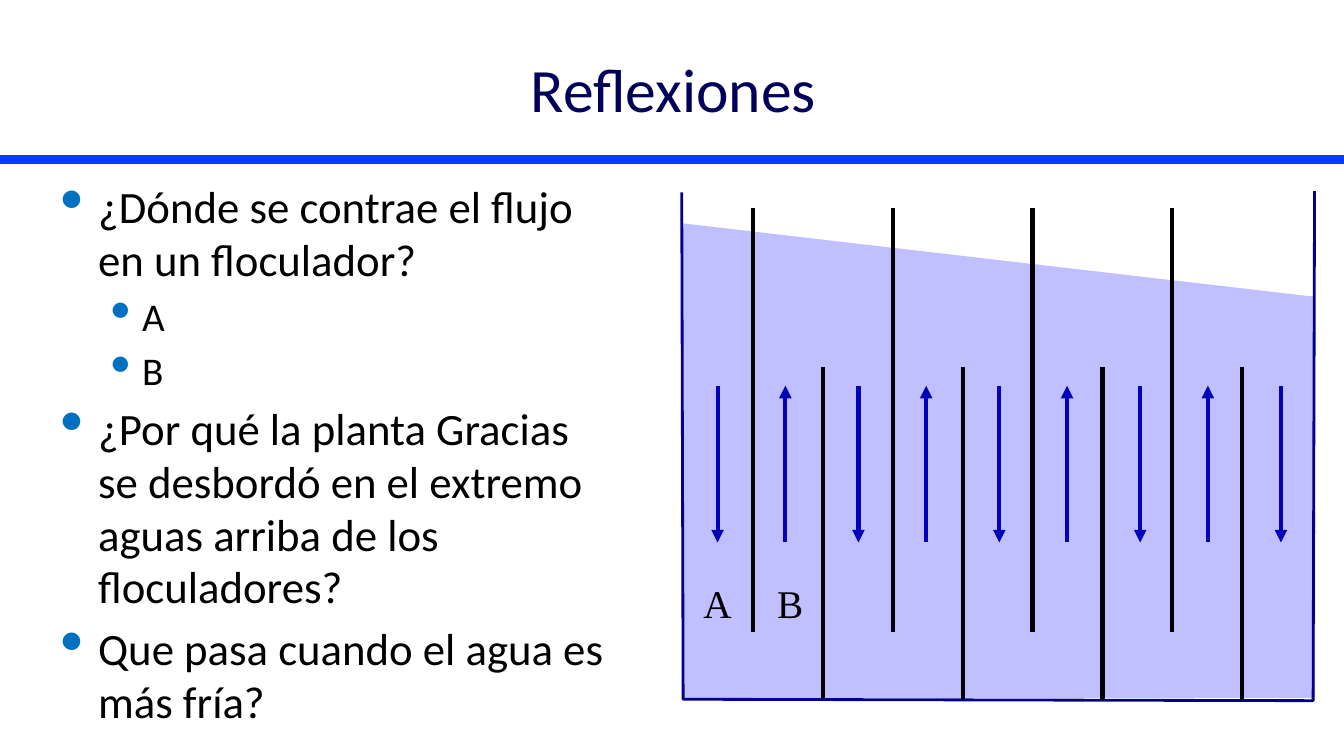
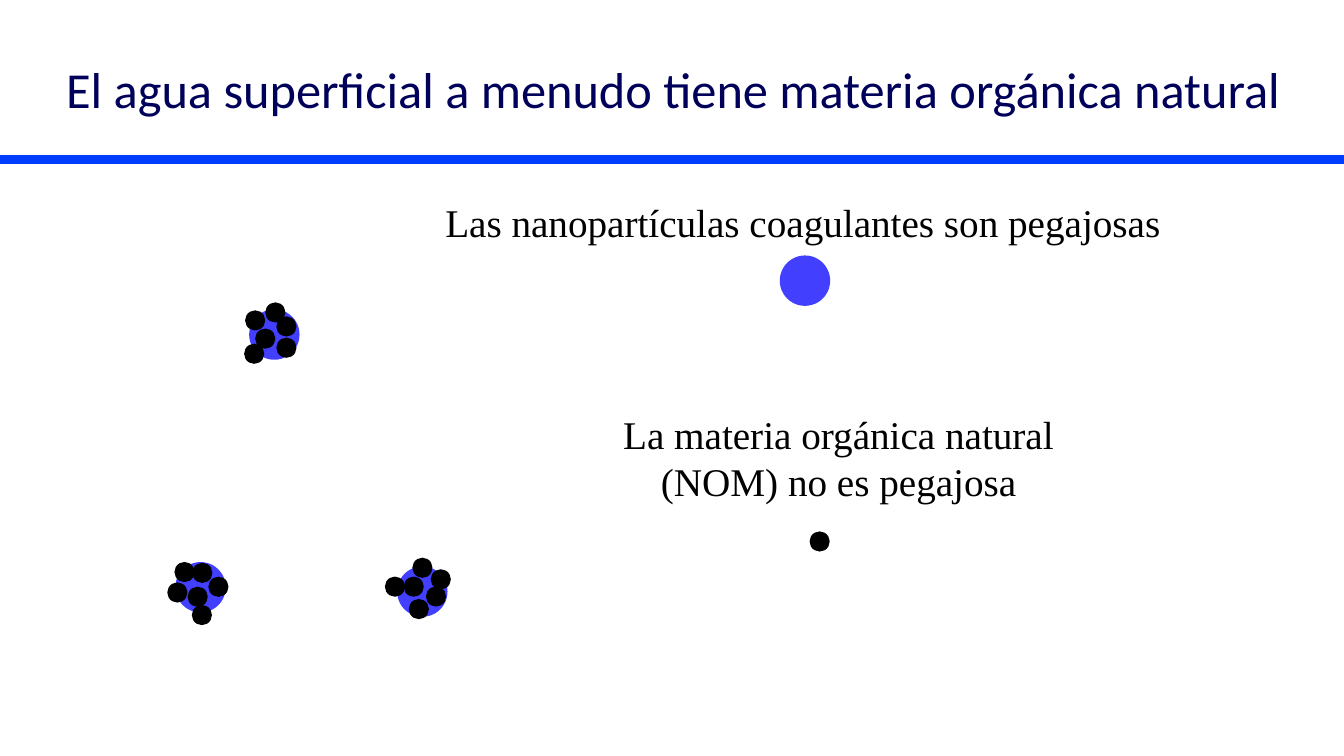
from dataclasses import dataclass
from math import cos, radians, sin

from lxml import etree
from pptx import Presentation
from pptx.dml.color import RGBColor
from pptx.enum.shapes import MSO_CONNECTOR, MSO_SHAPE
from pptx.enum.text import MSO_ANCHOR, PP_ALIGN
from pptx.oxml.ns import qn
from pptx.util import Pt

LEFT, CENTER = PP_ALIGN.LEFT, PP_ALIGN.CENTER
TOP, MIDDLE = MSO_ANCHOR.TOP, MSO_ANCHOR.MIDDLE
STRAIGHT = MSO_CONNECTOR.STRAIGHT
OVAL, RECT = MSO_SHAPE.OVAL, MSO_SHAPE.RECTANGLE
WEDGE = MSO_SHAPE.RIGHT_TRIANGLE


@dataclass(frozen=True)
class Theme:
    title: str = "00005A"
    band: str = "003CFE"
    text: str = "000000"
    bullet: str = "0070C0"
    water: str = "C0BFFF"
    tank: str = "02008D"
    flow: str = "0300BA"
    coagulant: str = "423FFF"
    organic: str = "000000"
    sans: str = "Calibri"
    serif: str = "Times New Roman"
    title_size: int = 44
    long_title_size: int = 36
    label_size: int = 28
    level_sizes: tuple = (32, 28)


T = Theme()
WIDTH, HEIGHT = 960, 540
COAGULANT_SIZE, ORGANIC_SIZE = 36, 14.4
LEVEL_INDENTS = ((27, -27), (58.5, -22.5))
ORGANIC_OFFSETS = (
    (-13.7, -10.1), (-14.4, 13.7), (0.7, -15.8),
    (-6.5, 2.9), (8.6, 9.4), (8.6, -5.8),
)
QUESTIONS = (
    (0, "¿Dónde se contrae el flujo en un floculador?"),
    (1, "A"),
    (1, "B"),
    (0, "¿Por qué la planta Gracias se desbordó en el extremo "
        "aguas arriba de los floculadores?"),
    (0, "Que pasa cuando el agua es más fría?"),
)


def rgb(value):
    return RGBColor.from_string(value)


def add_frame(s, box, anchor=TOP, wrap=True, inset=(0, 0)):
    tf = s.shapes.add_textbox(*map(Pt, box)).text_frame
    tf.word_wrap = wrap
    tf.vertical_anchor = anchor
    tf.margin_left = tf.margin_right = Pt(inset[0])
    tf.margin_top = tf.margin_bottom = Pt(inset[1])
    return tf


def write(p, text, size=T.label_size, font=T.serif, color=T.text, align=CENTER):
    p.alignment = align
    r = p.add_run()
    r.text = text
    r.font.size = Pt(size)
    r.font.name = font
    r.font.color.rgb = rgb(color)


def add_label(s, box, text, wrap=False):
    write(add_frame(s, box, wrap=wrap).paragraphs[0], text)


def add_filled(s, kind, box, color):
    sp = s.shapes.add_shape(kind, *map(Pt, box))
    sp.shadow.inherit = False
    sp.fill.solid()
    sp.fill.fore_color.rgb = rgb(color)
    sp.line.fill.background()


def add_line(s, start, end, color, width=3, arrow=False):
    line = s.shapes.add_connector(STRAIGHT, *map(Pt, (*start, *end)))
    line.line.color.rgb = rgb(color)
    line.line.width = Pt(width)
    if arrow:
        ln = line.line._get_or_add_ln()
        etree.SubElement(ln, qn("a:tailEnd"), type="triangle")
    etree.SubElement(line._element.spPr, qn("a:effectLst"))


def add_slide(prs, title, size):
    s = prs.slides.add_slide(prs.slide_layouts[6])
    add_line(s, (0, 114), (WIDTH, 114), T.band, 6)
    tf = add_frame(s, (36, 18, 890, 90), MIDDLE, inset=(7.2, 3.6))
    write(tf.paragraphs[0], title, size, T.sans, T.title)
    return s


def add_bullet(p, level):
    margin, indent = LEVEL_INDENTS[level]
    pPr = p._p.get_or_add_pPr()
    pPr.set("marL", str(Pt(margin)))
    pPr.set("indent", str(Pt(indent)))
    color = etree.SubElement(pPr, qn("a:buClr"))
    etree.SubElement(color, qn("a:srgbClr"), val=T.bullet)
    etree.SubElement(pPr, qn("a:buSzPct"), val="150000")
    etree.SubElement(pPr, qn("a:buChar"), char="•")
    p.level = level


def add_questions(s, box, items):
    tf = add_frame(s, box, inset=(7.2, 3.6))
    for i, (level, text) in enumerate(items):
        p = tf.add_paragraph() if i else tf.paragraphs[0]
        size = T.level_sizes[level]
        add_bullet(p, level)
        p.line_spacing = 0.98
        if i:
            p.space_before = Pt(size * 0.2)
        write(p, text, size, T.sans, align=LEFT)


def add_flocculator(s, box):
    x, y, w, h = box
    add_filled(s, WEDGE, (x, y + 23, w, 52.5), T.water)
    add_filled(s, RECT, (x + 1, y + 75, w - 1, h - 76), T.water)

    outline = s.shapes.build_freeform(Pt(x), Pt(y + 1))
    corners = ((x + 1, y + h), (x + w - 1, y + h + 1), (x + w, y))
    outline.add_line_segments([(Pt(a), Pt(b)) for a, b in corners], close=False)
    tank = outline.convert_to_shape()
    tank.shadow.inherit = False
    tank.fill.background()
    tank.line.color.rgb = rgb(T.tank)
    tank.line.width = Pt(2)

    for i in range(8):
        wall_x = x + 51 + 49.9 * i
        top, bottom = (126, h) if i % 2 else (12, 315)
        add_line(s, (wall_x, y + top), (wall_x, y + bottom), T.text)

    for i in range(9):
        pair, upward = divmod(i, 2)
        flow_x = x + (74 if upward else 25.6) + 100.6 * pair
        start, end = (251, 139) if upward else (139, 251)
        add_line(s, (flow_x, y + start), (flow_x, y + end), T.flow, arrow=True)

    for text, center in (("A", 25.6), ("B", 77.5)):
        add_label(s, (x + center - 15, y + 277, 30, 34), text)


def add_particle(s, center, size, color):
    x, y = center
    add_filled(s, OVAL, (x - size / 2, y - size / 2, size, size), color)


def add_cluster(s, center, angle=0):
    x, y = center
    c, d = cos(radians(angle)), sin(radians(angle))
    add_particle(s, center, COAGULANT_SIZE, T.coagulant)
    for dx, dy in ORGANIC_OFFSETS:
        spot = (x + dx * c - dy * d, y + dx * d + dy * c)
        add_particle(s, spot, ORGANIC_SIZE, T.organic)


def add_legend(s, box):
    x, y, w, h = box
    add_label(s, (x, y, w, 34), "Las nanopartículas coagulantes son pegajosas")
    add_particle(s, (x + 259.5, y + 58.5), COAGULANT_SIZE, T.coagulant)
    add_label(s, (x + 127, y + 151, 313, 68),
              "La materia orgánica natural (NOM) no es pegajosa", wrap=True)
    add_particle(s, (x + 270, y + h - 7.2), ORGANIC_SIZE, T.organic)


def build_reflections(prs):
    s = add_slide(prs, "Reflexiones", T.title_size)
    add_questions(s, (36, 126, 402.5, 356), QUESTIONS)
    add_flocculator(s, (487, 136.5, 452, 363))


def build_organic_matter(prs):
    s = add_slide(prs, "El agua superficial a menudo tiene materia orgánica natural",
                  T.long_title_size)
    add_legend(s, (315.5, 142, 516, 252))
    for center, angle in (((196, 239), 0), ((301.7, 422.6), 53.8),
                          ((143.3, 419.5), 310.9)):
        add_cluster(s, center, angle)


def main():
    prs = Presentation()
    prs.slide_width, prs.slide_height = Pt(WIDTH), Pt(HEIGHT)
    build_reflections(prs)
    build_organic_matter(prs)
    prs.save("out.pptx")


if __name__ == "__main__":
    main()
